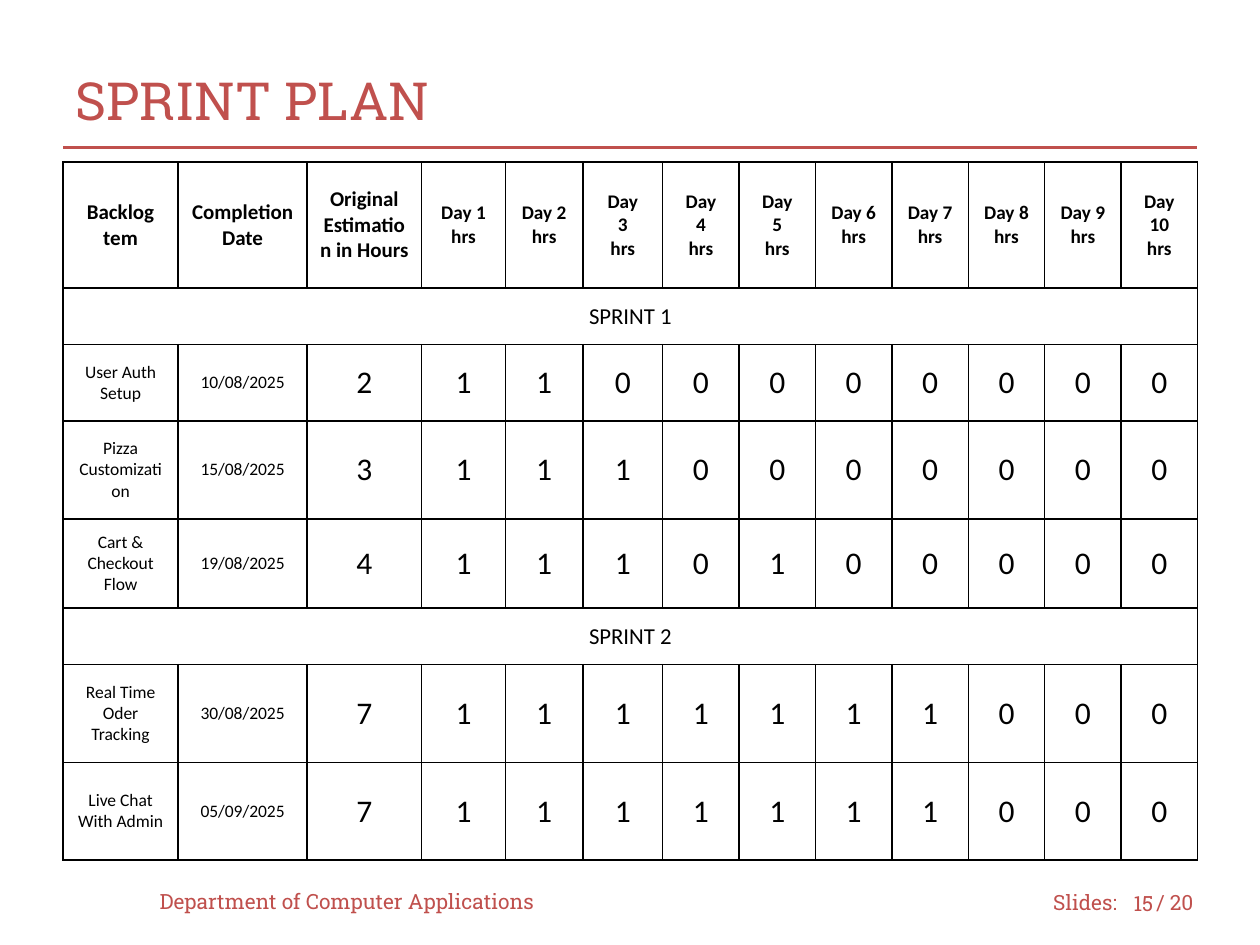
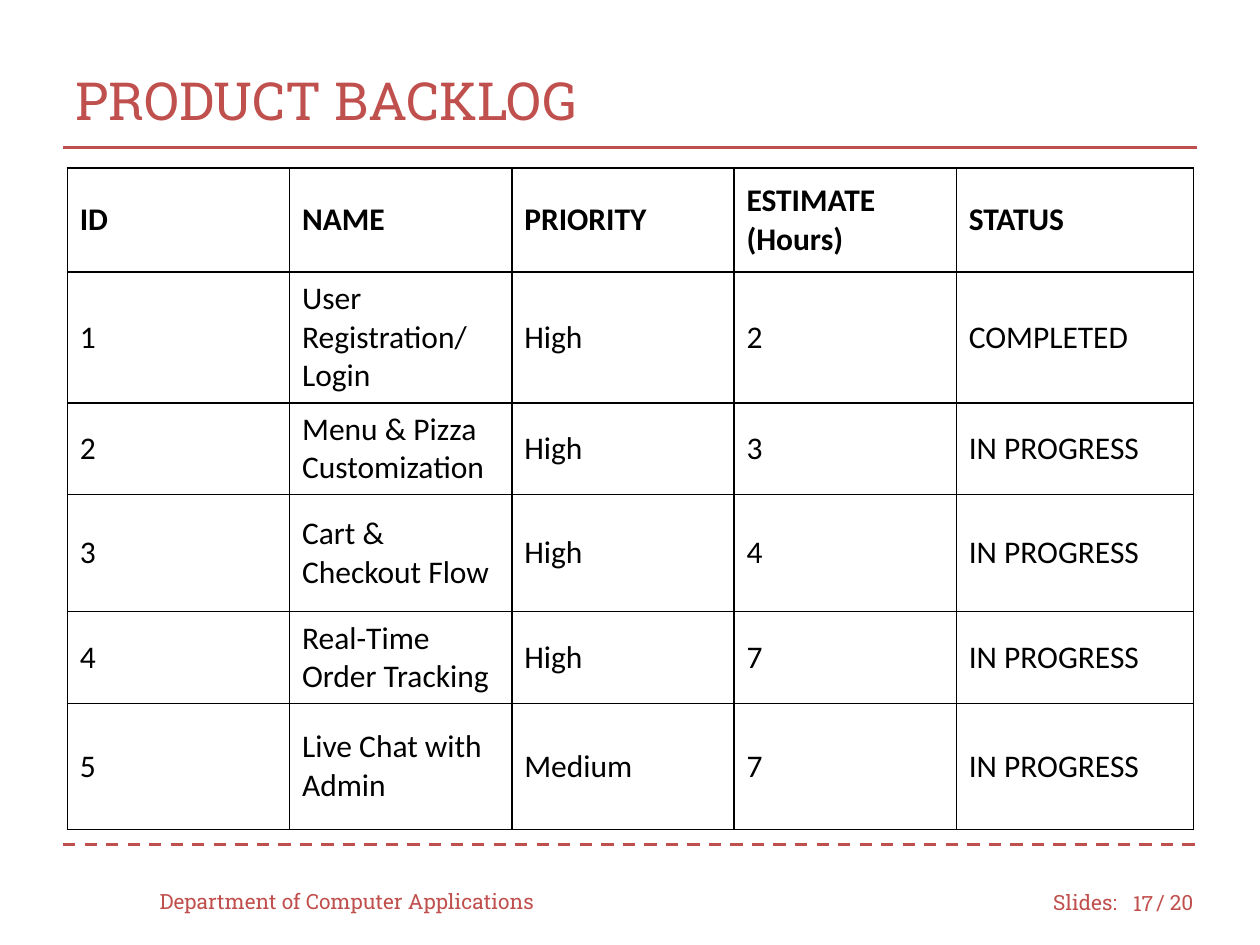
"""Builds the sprint plan and product backlog slides of a project review."""
import pptx
import pptx.dml.color
import pptx.enum.dml
import pptx.enum.shapes
import pptx.enum.text
import pptx.oxml
import pptx.oxml.ns
import pptx.util

Cm = pptx.util.Cm
Pt = pptx.util.Pt
ALIGN = pptx.enum.text.PP_ALIGN
DASH = pptx.enum.dml.MSO_LINE
RED = "C0504D"
BLACK = "000000"
WHITE = "FFFFFF"
BORDER = (
    '<a:{side} {namespace} w="12700"><a:solidFill><a:srgbClr val="{color}"/>'
    "</a:solidFill></a:{side}>"
)


def color(hex_code):
    """Turn a hex string into a colour."""
    return pptx.dml.color.RGBColor.from_string(hex_code)


def write(frame, text, size=12, font="Roboto Slab", ink=RED, bold=False, align=ALIGN.LEFT):
    """Fill a text frame, one paragraph for each line of text."""
    frame.word_wrap = True
    frame.vertical_anchor = pptx.enum.text.MSO_ANCHOR.MIDDLE
    for index, line in enumerate(text.split("\n")):
        para = frame.add_paragraph() if index else frame.paragraphs[0]
        para.alignment = align
        span = para.add_run()
        span.text = line
        span.font.size = Pt(size)
        span.font.name = font
        span.font.bold = bold
        span.font.color.rgb = color(ink)


sprint_days = [f"Day {day}\nhrs" for day in range(1, 11)]
for day in (3, 4, 5):
    sprint_days[day - 1] = f"Day\n{day}\nhrs"
sprint_rows = [
    ["Backlog tem", "Completion Date", "Original Estimation in Hours", *sprint_days],
    ["SPRINT 1"],
    ["User Auth Setup", "10/08/2025", "2", *"1100000000"],
    ["Pizza Customization", "15/08/2025", "3", *"1110000000"],
    ["Cart & Checkout Flow", "19/08/2025", "4", *"1110100000"],
    ["SPRINT 2"],
    ["Real Time Oder Tracking", "30/08/2025", "7", *"1111111000"],
    ["Live Chat With Admin", "05/09/2025", "7", *"1111111000"],
]
backlog_rows = [
    ["ID", "NAME", "PRIORITY", "ESTIMATE (Hours)", "STATUS"],
    ["1", "User Registration/ Login", "High", "2", "COMPLETED"],
    ["2", "Menu & Pizza Customization", "High", "3", "IN PROGRESS"],
    ["3", "Cart & Checkout Flow", "High", "4", "IN PROGRESS"],
    ["4", "Real-Time Order Tracking", "High", "7", "IN PROGRESS"],
    ["5", "Live Chat with Admin", "Medium", "7", "IN PROGRESS"],
]
slides = [
    {
        "title": "SPRINT PLAN",
        "number": "15",
        "corner": (1.27, 3.27),
        "widths": [2.32, 2.6, 2.31, 1.69, 1.56, 1.61] + [1.54] * 7,
        "heights": [2.54, 1.14, 1.54, 1.97, 1.8, 1.14, 1.97, 1.97],
        "rows": sprint_rows,
        "header_sizes": [12] * 3 + [11] * 10,
        "body_sizes": [10] * 2 + [18] * 11,
        "align": ALIGN.CENTER,
        "margin": 0.25,
    },
    {
        "title": "PRODUCT BACKLOG",
        "number": "17",
        "corner": (1.36, 3.39),
        "widths": [4.48] * 4 + [4.78],
        "heights": [2.09, 2.64, 1.85, 2.36, 1.85, 2.54],
        "rows": backlog_rows,
        "header_sizes": [18] * 5,
        "body_sizes": [18] * 5,
        "align": ALIGN.LEFT,
        "margin": 0.13,
    },
]

deck = pptx.Presentation()
deck.slide_width = Cm(25.4)
deck.slide_height = Cm(19.05)

for content in slides:
    page = deck.slides.add_slide(deck.slide_layouts[5])

    for height, dash in ((17.02, DASH.DASH), (2.97, DASH.SOLID)):
        rule = page.shapes.add_connector(
            pptx.enum.shapes.MSO_CONNECTOR.STRAIGHT, Cm(1.27), Cm(height), Cm(24.13), Cm(height)
        )
        rule.line.color.rgb = color(RED)
        rule.line.width = Pt(1.75)
        rule.line.dash_style = dash
        rule._element.spPr.append(pptx.oxml.ns.qn("a:effectLst") and pptx.oxml.parse_xml(
            f'<a:effectLst {pptx.oxml.ns.nsdecls("a")}/>'
        ))

    title = page.shapes.title
    title.left, title.top, title.width, title.height = Cm(1.27), Cm(0.84), Cm(22.86), Cm(2.34)
    title.text_frame.auto_size = pptx.enum.text.MSO_AUTO_SIZE.NONE
    write(title.text_frame, content["title"], size=30)

    for text, left, top, width, align in (
        ("Department of Computer Applications", 2.97, 17.65, 8.46, ALIGN.LEFT),
        ("Slides:", 20.98, 17.68, 1.9, ALIGN.LEFT),
        (content["number"], 22.43, 17.7, 1.07, ALIGN.RIGHT),
        ("/ 20", 23.06, 17.68, 1.47, ALIGN.LEFT),
    ):
        box = page.shapes.add_textbox(Cm(left), Cm(top), Cm(width), Cm(1.02))
        write(box.text_frame, text, align=align)

    widths, heights, rows = content["widths"], content["heights"], content["rows"]
    left, top = content["corner"]
    table = page.shapes.add_table(
        len(rows), len(widths), Cm(left), Cm(top), Cm(sum(widths)), Cm(sum(heights))
    ).table
    table.first_row = table.horz_banding = False
    for column, width in zip(table.columns, widths):
        column.width = Cm(width)
    for row, height in zip(table.rows, heights):
        row.height = Cm(height)

    for cell in table.iter_cells():
        properties = cell._tc.get_or_add_tcPr()
        for side in ("lnL", "lnR", "lnT", "lnB"):
            properties.append(pptx.oxml.parse_xml(
                BORDER.format(side=side, namespace=pptx.oxml.ns.nsdecls("a"), color=BLACK)
            ))
        cell.fill.solid()
        cell.fill.fore_color.rgb = color(WHITE)
        cell.vertical_anchor = pptx.enum.text.MSO_ANCHOR.MIDDLE
        cell.margin_left = cell.margin_right = Cm(0.25)
        cell.margin_top = cell.margin_bottom = Cm(content["margin"])

    for row_index, texts in enumerate(rows):
        sizes = content["body_sizes"] if row_index else content["header_sizes"]
        if len(texts) == 1:
            sizes = [13]
            table.cell(row_index, 0).merge(table.cell(row_index, len(widths) - 1))
        for column_index, (text, size) in enumerate(zip(texts, sizes)):
            write(
                table.cell(row_index, column_index).text_frame, text, size=size,
                font="Calibri", ink=BLACK, bold=row_index == 0, align=content["align"],
            )

deck.save("out.pptx")
